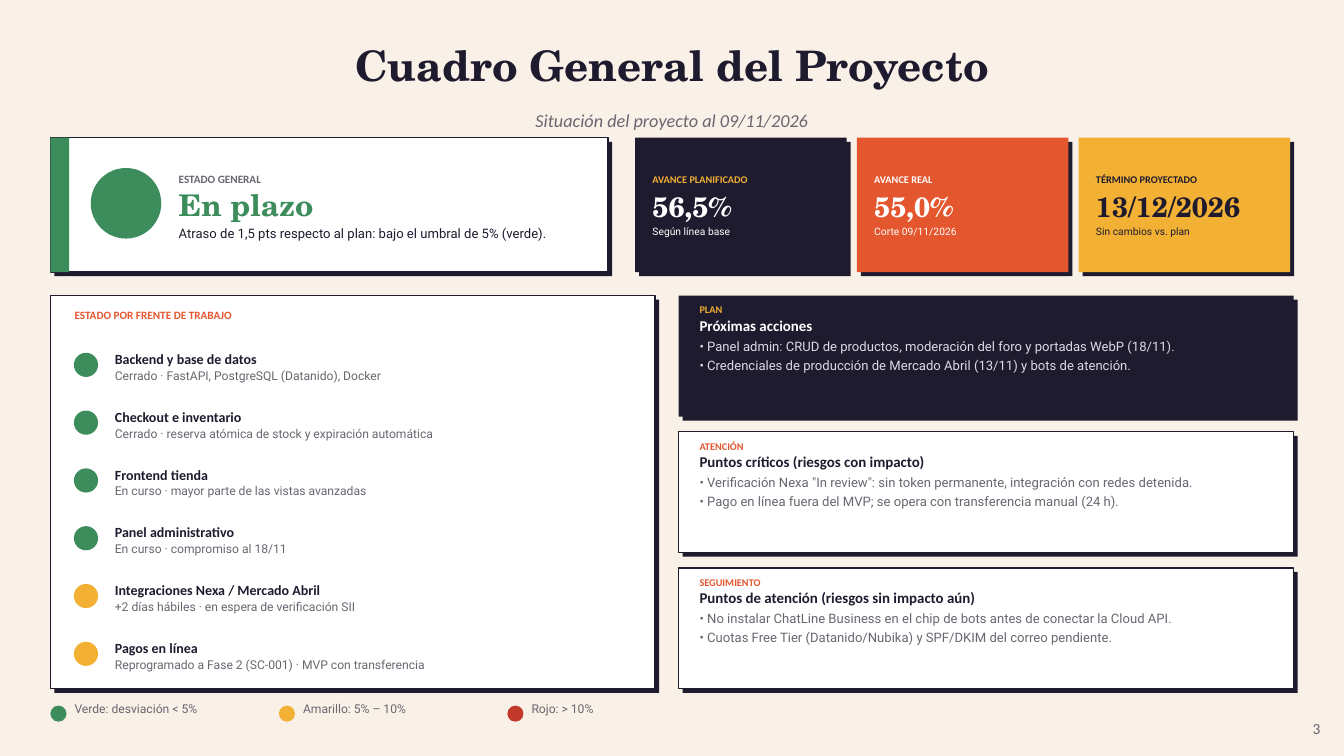
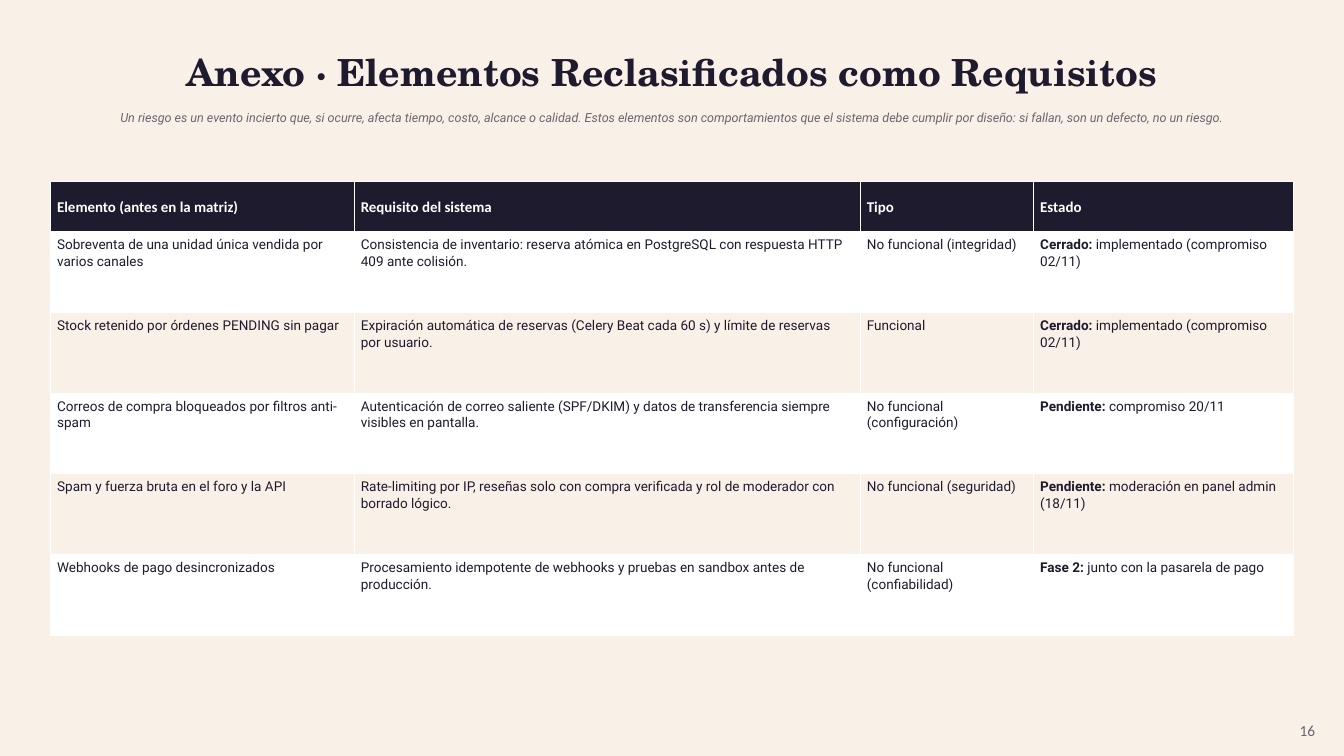
from pptx import Presentation
from pptx.dml.color import RGBColor
from pptx.enum.shapes import MSO_SHAPE as SHAPE
from pptx.enum.text import MSO_ANCHOR as ANCHOR, MSO_AUTO_SIZE as AUTO, PP_ALIGN as ALIGN
from pptx.oxml import parse_xml
from pptx.oxml.ns import nsdecls
from pptx.util import Inches, Pt

COLORS = {
    "cream": "F9F0E7", "ink": "1E1B2E", "white": "FFFFFF", "gray": "6B6570",
    "green": "3C8D5B", "orange": "E4562E", "yellow": "F2B035", "red": "C0392B",
    "lilac": "DDD9E8",
}
SERIF, SANS, BODY = "TeX Gyre Schola", "Calibri", "Roboto"
PAD, NO_PAD = (0.06, 0.03), (0, 0)


def style(name, size, bold=False, italic=False, spacing=1.05, after=3):
    """Return the font and paragraph values of one text style."""
    return {
        "font": {"name": name, "size": Pt(size), "bold": bold, "italic": italic},
        "para": {"line_spacing": spacing, "space_after": Pt(after)},
    }


STYLES = {
    "title": style(SERIF, 45, True, spacing=Pt(58.4), after=0),
    "subtitle": style(SANS, 19.5, italic=True, spacing=Pt(25.3), after=0),
    "annex title": style(SERIF, 40, True),
    "annex note": style(BODY, 13.5, italic=True),
    "page": style(SANS, 16.5),
    "status label": style(SANS, 12, True, after=1),
    "status": style(SERIF, 32, True, spacing=1.0, after=2),
    "body": style(BODY, 14),
    "kpi label": style(SANS, 11, True, after=4),
    "kpi": style(SERIF, 30, True, spacing=1.0, after=2),
    "kpi note": style(BODY, 11),
    "section": style(SANS, 12, True),
    "front": style(SANS, 15, True, after=0),
    "detail": style(BODY, 13),
    "panel label": style(SANS, 11, True, after=0),
    "panel title": style(SANS, 16, True),
    "table head": style(SANS, 16, True),
    "table body": style(BODY, 14.5),
}

KPIS = [
    ("AVANCE PLANIFICADO", "56,5%", "Según línea base", "ink", "yellow", "white"),
    ("AVANCE REAL", "55,0%", "Corte 09/11/2026", "orange", "white", "white"),
    ("TÉRMINO PROYECTADO", "13/12/2026", "Sin cambios vs. plan", "yellow", "ink", "ink"),
]
FRONTS = [
    ("Backend y base de datos", "Cerrado · FastAPI, PostgreSQL (Datanido), Docker", "green"),
    ("Checkout e inventario", "Cerrado · reserva atómica de stock y expiración automática", "green"),
    ("Frontend tienda", "En curso · mayor parte de las vistas avanzadas", "green"),
    ("Panel administrativo", "En curso · compromiso al 18/11", "green"),
    ("Integraciones Nexa / Mercado Abril", "+2 días hábiles · en espera de verificación SII", "yellow"),
    ("Pagos en línea", "Reprogramado a Fase 2 (SC-001) · MVP con transferencia", "yellow"),
]
PANELS = [
    ("PLAN", "Próximas acciones", [
        "• Panel admin: CRUD de productos, moderación del foro y portadas WebP (18/11).",
        "• Credenciales de producción de Mercado Abril (13/11) y bots de atención.",
    ], "ink", "yellow", "white", "lilac"),
    ("ATENCIÓN", "Puntos críticos (riesgos con impacto)", [
        "• Verificación Nexa \"In review\": sin token permanente, integración con redes detenida.",
        "• Pago en línea fuera del MVP; se opera con transferencia manual (24 h).",
    ], "white", "orange", "ink", "gray"),
    ("SEGUIMIENTO", "Puntos de atención (riesgos sin impacto aún)", [
        "• No instalar ChatLine Business en el chip de bots antes de conectar la Cloud API.",
        "• Cuotas Free Tier (Datanido/Nubika) y SPF/DKIM del correo pendiente.",
    ], "white", "orange", "ink", "gray"),
]
LEGEND = [
    ("Verde: desviación < 5%", "green"),
    ("Amarillo: 5% – 10%", "yellow"),
    ("Rojo: > 10%", "red"),
]
COLUMNS = [4.52, 7.53, 2.58, 3.87]
HEADINGS = ("Elemento (antes en la matriz)", "Requisito del sistema", "Tipo", "Estado")
REQUIREMENTS = [
    ("Sobreventa de una unidad única vendida por varios canales",
     "Consistencia de inventario: reserva atómica en PostgreSQL con respuesta HTTP 409 ante colisión.",
     "No funcional (integridad)", "Cerrado: implementado (compromiso 02/11)"),
    ("Stock retenido por órdenes PENDING sin pagar",
     "Expiración automática de reservas (Celery Beat cada 60 s) y límite de reservas por usuario.",
     "Funcional", "Cerrado: implementado (compromiso 02/11)"),
    ("Correos de compra bloqueados por filtros anti-spam",
     "Autenticación de correo saliente (SPF/DKIM) y datos de transferencia siempre visibles en pantalla.",
     "No funcional (configuración)", "Pendiente: compromiso 20/11"),
    ("Spam y fuerza bruta en el foro y la API",
     "Rate-limiting por IP, reseñas solo con compra verificada y rol de moderador con borrado lógico.",
     "No funcional (seguridad)", "Pendiente: moderación en panel admin (18/11)"),
    ("Webhooks de pago desincronizados",
     "Procesamiento idempotente de webhooks y pruebas en sandbox antes de producción.",
     "No funcional (confiabilidad)", "Fase 2: junto con la pasarela de pago"),
]


def rgb(color):
    """Return the named colour."""
    return RGBColor.from_string(COLORS[color])


def apply(target, values):
    """Set each value as an attribute of the target."""
    for key, value in values.items():
        setattr(target, key, value)


def paint(target, color):
    """Fill a shape, cell or background with a named colour."""
    target.fill.solid()
    target.fill.fore_color.rgb = rgb(color)


def write(p, text, kind, color, lead=""):
    """Write a paragraph in a style, with an optional bold lead."""
    apply(p, STYLES[kind]["para"])
    for part, extra in ((lead, {"bold": True}), (text, {})):
        if part:
            r = p.add_run()
            r.text = part
            apply(r.font, {**STYLES[kind]["font"], **extra})
            r.font.color.rgb = rgb(color)


def add_text(s, box, paras, anchor=ANCHOR.TOP, align=ALIGN.LEFT, pad=PAD):
    """Add a text box holding (text, style, colour) paragraphs."""
    tf = s.shapes.add_textbox(*map(Inches, box)).text_frame
    x, y = map(Inches, pad)
    apply(tf, {"word_wrap": True, "auto_size": AUTO.SHAPE_TO_FIT_TEXT,
               "vertical_anchor": anchor, "margin_left": x, "margin_right": x,
               "margin_top": y, "margin_bottom": y})
    for i, para in enumerate(paras):
        p = tf.add_paragraph() if i else tf.paragraphs[0]
        p.alignment = align
        write(p, *para)


def add_shape(s, kind, box, color, outlined=False):
    """Add a flat filled shape, outlined in ink on request."""
    sp = s.shapes.add_shape(kind, *map(Inches, box))
    sp.shadow.inherit = False
    paint(sp, color)
    if outlined:
        sp.line.color.rgb = rgb("ink")
        sp.line.width = Pt(1.5)
    else:
        sp.line.fill.background()


def add_dot(s, x, y, size, color):
    """Add a traffic-light dot."""
    add_shape(s, SHAPE.OVAL, (x, y, size, size), color)


def add_card(s, x, y, w, h, color):
    """Add a card over its hard offset shadow; white cards are outlined."""
    add_shape(s, SHAPE.RECTANGLE, (x + 0.06, y + 0.06, w, h), "ink")
    add_shape(s, SHAPE.RECTANGLE, (x, y, w, h), color, color == "white")


def add_slide(prs):
    """Add a blank slide on the cream background."""
    s = prs.slides.add_slide(prs.slide_layouts[6])
    paint(s.background, "cream")
    return s


def add_page_number(s, number, x, pad):
    """Add the page number at the lower right."""
    add_text(s, (x, 10.69, 0.73, 0.39), [(number, "page", "gray")], align=ALIGN.RIGHT, pad=pad)


def add_status(s):
    """Add the overall status card."""
    add_card(s, 0.75, 2.05, 8.3, 2, "white")
    add_shape(s, SHAPE.RECTANGLE, (0.75, 2.05, 0.28, 2), "green")
    add_dot(s, 1.35, 2.5, 1.05, "green")
    add_text(s, (2.6, 2.2, 6.3, 1.75), [
        ("ESTADO GENERAL", "status label", "gray"),
        ("En plazo", "status", "green"),
        ("Atraso de 1,5 pts respecto al plan: bajo el umbral de 5% (verde).", "body", "ink"),
    ], ANCHOR.MIDDLE)


def add_kpi(s, x, label, value, note, fill, label_color, color):
    """Add one progress card."""
    add_card(s, x, 2.05, 3.15, 2, fill)
    add_text(s, (x + 0.2, 2.15, 2.8, 1.8), [
        (label, "kpi label", label_color), (value, "kpi", color), (note, "kpi note", color),
    ], ANCHOR.MIDDLE)


def add_fronts(s):
    """Add the card listing the state of each work front."""
    add_card(s, 0.75, 4.4, 9, 5.85, "white")
    add_text(s, (1.05, 4.55, 8, 0.4), [("ESTADO POR FRENTE DE TRABAJO", "section", "orange")])
    for i, (front, detail, color) in enumerate(FRONTS):
        y = 5.05 + i * 0.86
        add_dot(s, 1.1, y + 0.2, 0.36, color)
        add_text(s, (1.65, y, 7.9, 0.8),
                 [(front, "front", "ink"), (detail, "detail", "gray")], ANCHOR.MIDDLE)


def add_panel(s, y, label, title, points, fill, label_color, title_color, color):
    """Add one panel of actions or risks."""
    add_card(s, 10.1, y, 9.15, 1.8, fill)
    add_text(s, (10.35, y + 0.08, 8.7, 1.65), [
        (label, "panel label", label_color), (title, "panel title", title_color),
        *((point, "body", color) for point in points),
    ])


def add_legend(s):
    """Add the key to the traffic-light colours."""
    for i, (text, color) in enumerate(LEGEND):
        x = 0.75 + i * 3.4
        add_dot(s, x, 10.5, 0.24, color)
        add_text(s, (x + 0.3, 10.4, 3.2, 0.45), [(text, "detail", "gray")])


def add_borders(cell):
    """Give a cell thin white borders."""
    tcPr = cell._tc.get_or_add_tcPr()
    for i, side in enumerate(("lnL", "lnR", "lnT", "lnB")):
        tcPr.insert(i, parse_xml(
            f'<a:{side} {nsdecls("a")} w="12700"><a:solidFill>'
            f'<a:srgbClr val="{COLORS["white"]}"/></a:solidFill></a:{side}>'))


def add_requirements(s):
    """Add the table of reclassified elements."""
    rows = [HEADINGS, *REQUIREMENTS]
    table = s.shapes.add_table(len(rows), len(COLUMNS), Inches(0.75), Inches(2.7),
                               Inches(18.5), Inches(6.75)).table
    table.horz_banding = False
    for column, width in zip(table.columns, COLUMNS):
        column.width = Inches(width)
    for i, values in enumerate(rows):
        table.rows[i].height = Inches(1.2 if i else 0.75)
        for j, text in enumerate(values):
            cell = table.cell(i, j)
            apply(cell, {"margin_left": Inches(0.1), "margin_right": Inches(0.1),
                         "margin_top": Inches(0.07), "margin_bottom": Inches(0.07),
                         "vertical_anchor": ANCHOR.TOP if i else ANCHOR.MIDDLE})
            paint(cell, ("white" if i % 2 else "cream") if i else "ink")
            add_borders(cell)
            p = cell.text_frame.paragraphs[0]
            if not i:
                write(p, text, "table head", "white")
            elif j == len(COLUMNS) - 1:
                state, note = text.split(": ")
                write(p, note, "table body", "ink", state + ": ")
            else:
                write(p, text, "table body", "ink")


def build_overview(prs):
    """Build the project overview slide."""
    s = add_slide(prs)
    add_text(s, (0.83, 0.52, 18.34, 1.15), [("Cuadro General del Proyecto", "title", "ink")],
             align=ALIGN.CENTER, pad=NO_PAD)
    add_text(s, (0.83, 1.6, 18.34, 0.49),
             [("Situación del proyecto al 09/11/2026", "subtitle", "gray")],
             align=ALIGN.CENTER, pad=NO_PAD)
    add_page_number(s, "3", 18.92, NO_PAD)
    add_status(s)
    for i, kpi in enumerate(KPIS):
        add_kpi(s, 9.45 + i * 3.3, *kpi)
    add_fronts(s)
    for i, panel in enumerate(PANELS):
        add_panel(s, 4.4 + i * 4.05 / 2, *panel)
    add_legend(s)


def build_annex(prs):
    """Build the annex slide with the requirements table."""
    s = add_slide(prs)
    add_text(s, (0.83, 0.52, 18.34, 1.05),
             [("Anexo · Elementos Reclasificados como Requisitos", "annex title", "ink")],
             ANCHOR.MIDDLE, ALIGN.CENTER)
    add_text(s, (1.5, 1.6, 17, 0.8), [(
        "Un riesgo es un evento incierto que, si ocurre, afecta tiempo, costo, alcance o calidad. "
        "Estos elementos son comportamientos que el sistema debe cumplir por diseño: "
        "si fallan, son un defecto, no un riesgo.", "annex note", "gray")], align=ALIGN.CENTER)
    add_requirements(s)
    add_page_number(s, "16", 18.9, PAD)


def main():
    """Build both slides and save the presentation."""
    prs = Presentation()
    prs.slide_width, prs.slide_height = Inches(20), Inches(11.25)
    build_overview(prs)
    build_annex(prs)
    prs.save("out.pptx")


if __name__ == "__main__":
    main()
